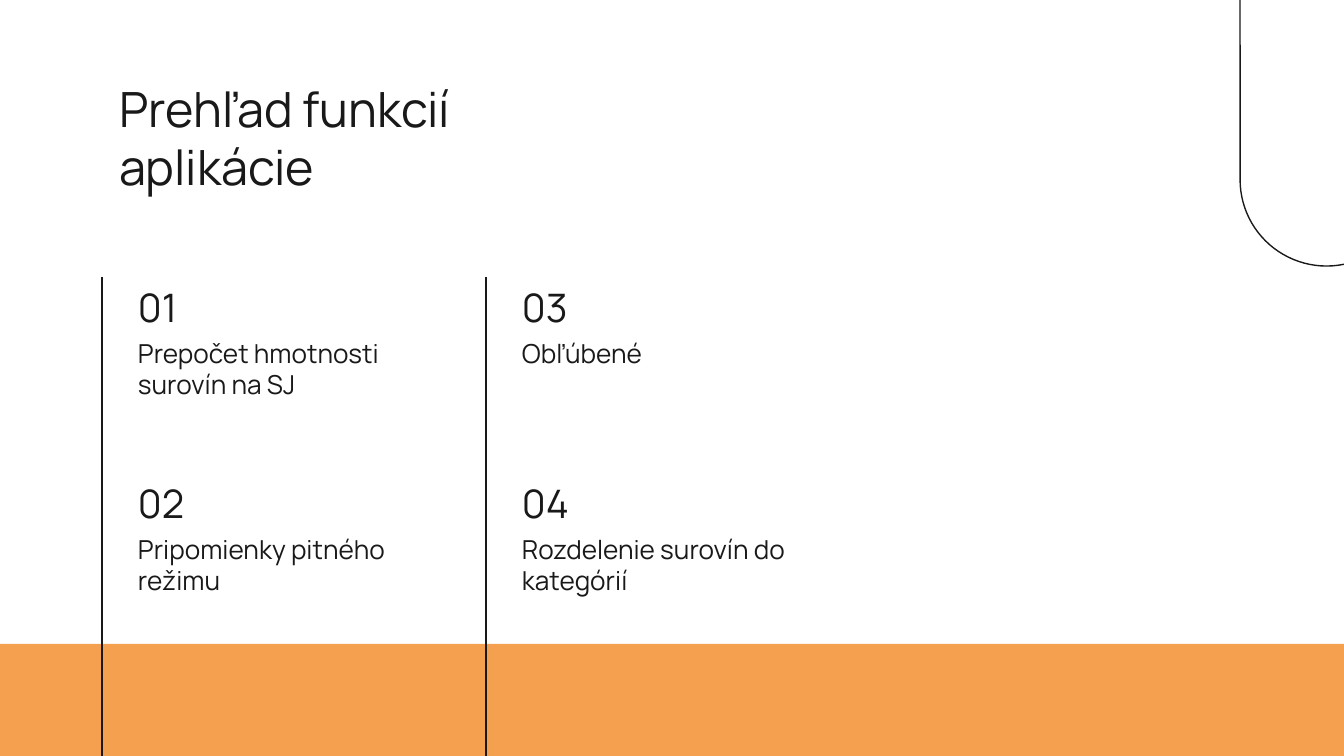
from pptx import Presentation
from pptx.dml.color import RGBColor
from pptx.enum.shapes import MSO_CONNECTOR, MSO_SHAPE
from pptx.enum.text import MSO_ANCHOR as Anchor, MSO_AUTO_SIZE as AutoSize, PP_ALIGN as Align
from pptx.oxml.ns import qn
from pptx.util import Pt
from lxml.etree import SubElement

PX = 914400 / 134.4
WIDTH, HEIGHT = 1344, 756
INK = RGBColor(0x19, 0x19, 0x19)
ORANGE = RGBColor(0xF5, 0xA0, 0x4F)
FONT = "Manrope"
INSET = 13

TITLE = "Prehľad funkcií aplikácie"
FEATURES = [
    "Prepočet hmotnosti surovín na SJ",
    "Pripomienky pitného režimu",
    "Obľúbené",
    "Rozdelenie surovín do kategórií",
]
ROWS = 2
GRID_LEFT, GRID_TOP = 125, 277
COLUMN_STEP, ROW_STEP = 384, 196
RULE_OFFSET = -23


def px(length):
    return round(length * PX)


def set_all(target, values):
    for name, value in values.items():
        setattr(target, name, value)


def format_text(shape, text, box, size, anchor=Anchor.TOP):
    """Place a text shape, given as (left, top, width, height), and style it."""
    set_all(shape, dict(zip(("left", "top", "width", "height"), map(px, box))))
    frame = shape.text_frame
    frame.text = text
    margins = ("margin_left", "margin_top", "margin_right", "margin_bottom")
    set_all(frame, dict.fromkeys(margins, px(INSET)))
    set_all(frame, {"word_wrap": True, "auto_size": AutoSize.NONE,
                    "vertical_anchor": anchor})
    paragraph = frame.paragraphs[0]
    paragraph.alignment = Align.LEFT
    set_all(paragraph.font, {"name": FONT, "size": Pt(size)})
    paragraph.font.color.rgb = INK


def add_text(slide, text, box, size, anchor=Anchor.TOP):
    shape = slide.shapes.add_textbox(0, 0, 0, 0)
    format_text(shape, text, box, size, anchor)


def draw_outline(shape):
    shape.line.color.rgb = INK
    shape.line.width = Pt(0.75)


def add_band(slide):
    band = slide.shapes.add_shape(MSO_SHAPE.RECTANGLE, 0, px(644), px(WIDTH), px(112))
    band.shadow.inherit = False
    band.fill.solid()
    band.fill.fore_color.rgb = ORANGE
    band.line.fill.background()


def add_corner_pill(slide):
    pill = slide.shapes.add_shape(MSO_SHAPE.ROUNDED_RECTANGLE,
                                  px(1023), px(-124), px(607), px(173))
    pill.rotation = 90
    pill.adjustments[0] = 0.5
    pill.shadow.inherit = False
    pill.fill.background()
    draw_outline(pill)


def add_feature(slide, index, description):
    column, row = divmod(index, ROWS)
    left = GRID_LEFT + column * COLUMN_STEP
    top = GRID_TOP + row * ROW_STEP
    add_text(slide, f"{index + 1:02}", (left, top, 108, 66), 21, Anchor.BOTTOM)
    add_text(slide, description, (left, top + 47, 339, 75), 14)


def add_column_rule(slide, column):
    x = px(GRID_LEFT + RULE_OFFSET + column * COLUMN_STEP)
    rule = slide.shapes.add_connector(MSO_CONNECTOR.STRAIGHT, x, px(GRID_TOP), x, px(HEIGHT))
    draw_outline(rule)
    SubElement(rule.element.spPr, qn("a:effectLst"))


def main():
    presentation = Presentation()
    set_all(presentation, {"slide_width": px(WIDTH), "slide_height": px(HEIGHT)})
    slide = presentation.slides.add_slide(presentation.slide_layouts[5])
    add_band(slide)
    add_corner_pill(slide)
    format_text(slide.shapes.title, TITLE, (106, 66, 470, 188), 26)
    for index, description in enumerate(FEATURES):
        add_feature(slide, index, description)
    for column in range(len(FEATURES) // ROWS):
        add_column_rule(slide, column)
    presentation.save("out.pptx")


if __name__ == "__main__":
    main()
